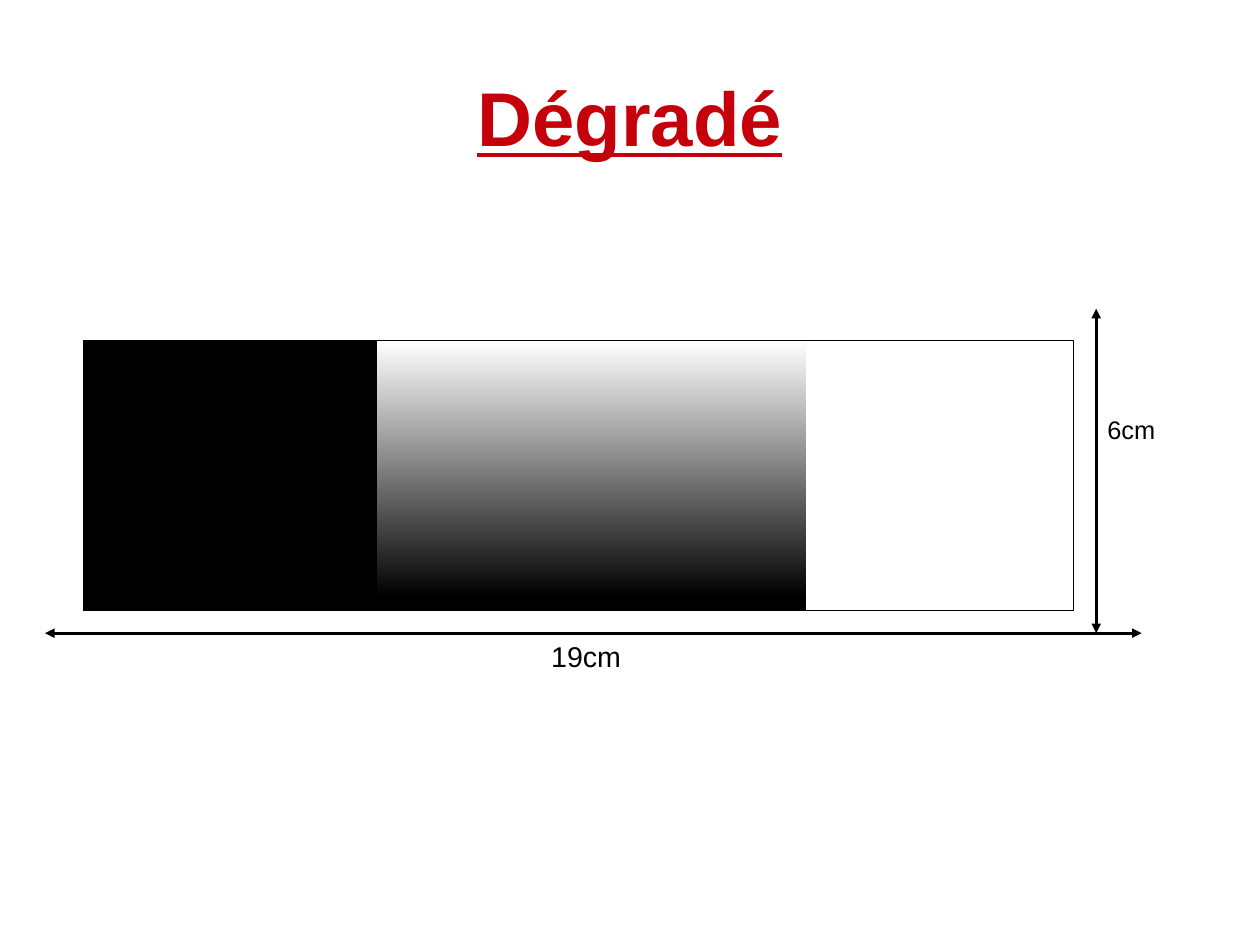
import dataclasses
import typing

import pptx
import pptx.dml.color
import pptx.enum.shapes
import pptx.enum.text
import pptx.oxml
import pptx.oxml.ns
import pptx.shapes.autoshape
import pptx.slide
import pptx.util

Cm = pptx.util.Cm
Pt = pptx.util.Pt
RGBColor = pptx.dml.color.RGBColor
ALIGN = pptx.enum.text.PP_ALIGN
ANCHOR = pptx.enum.text.MSO_ANCHOR

BLACK = RGBColor(0x00, 0x00, 0x00)
WHITE = RGBColor(0xFF, 0xFF, 0xFF)
RED = RGBColor(0xC5, 0x00, 0x0B)
FONT = "Arial"
BAND_TOP, BAND_HEIGHT = 7.57, 6.0
WIDTH_ARROW_Y = 14.07
HEIGHT_ARROW_X = 24.36


@dataclasses.dataclass(frozen=True)
class Label:
    """A line of text in a box, with lengths in centimetres."""
    text: str
    left: float
    top: float
    width: float
    height: float
    size: int
    color: RGBColor = BLACK
    heading: bool = False


@dataclasses.dataclass(frozen=True)
class Band:
    """A rectangle of the gradient sample."""
    left: float
    width: float
    fill: typing.Optional[RGBColor]


@dataclasses.dataclass(frozen=True)
class Dimension:
    """A double-headed dimension arrow."""
    x1: float
    y1: float
    x2: float
    y2: float


TITLE = Label("Dégradé", 1.4, 0.84, 25.2, 3.5, 48, RED, True)
DIMENSIONS = [
    Dimension(1.0, WIDTH_ARROW_Y, 25.37, WIDTH_ARROW_Y),
    Dimension(HEIGHT_ARROW_X, 6.86, HEIGHT_ARROW_X, WIDTH_ARROW_Y),
]
BANDS = [Band(1.85, 22.0, WHITE), Band(1.85, 9.2, BLACK), Band(8.38, 9.53, None)]
LABELS = [
    Label("6cm", HEIGHT_ARROW_X, 9.07, 1.83, 2.0, 16),
    Label("19cm", 12.0, WIDTH_ARROW_Y, 3.8, 0.97, 18),
]


def add_label(s: pptx.slide.Slide, label: Label) -> None:
    """Write a label, centred and underlined when it is the heading."""
    box = s.shapes.add_textbox(
        Cm(label.left), Cm(label.top), Cm(label.width), Cm(label.height))
    tf = box.text_frame
    tf.word_wrap = True
    tf.text = label.text
    p = tf.paragraphs[0]
    font = p.runs[0].font
    font.name = FONT
    font.size = Pt(label.size)
    font.color.rgb = label.color
    if label.heading:
        tf.margin_left = tf.margin_right = tf.margin_top = tf.margin_bottom = 0
        tf.vertical_anchor = ANCHOR.MIDDLE
        p.alignment = ALIGN.CENTER
        font.bold = font.underline = True


def fill_gradient(sp: pptx.shapes.autoshape.Shape) -> None:
    """Fill a shape from black at the bottom to white at the top."""
    sp.fill.gradient()
    sp.fill.gradient_angle = 90
    for stop, position, color in zip(
            sp.fill.gradient_stops, (0.05, 1.0), (BLACK, WHITE)):
        stop.position = position
        stop.color.rgb = color


def add_band(s: pptx.slide.Slide, band: Band) -> None:
    """Draw an outlined plain band, or the gradient band without outline."""
    sp = s.shapes.add_shape(
        pptx.enum.shapes.MSO_SHAPE.RECTANGLE,
        Cm(band.left), Cm(BAND_TOP), Cm(band.width), Cm(BAND_HEIGHT))
    sp.shadow.inherit = False
    if band.fill is None:
        fill_gradient(sp)
        sp.line.fill.background()
    else:
        sp.fill.solid()
        sp.fill.fore_color.rgb = band.fill
        sp.line.color.rgb = BLACK
        sp.line.width = Pt(0)


def add_dimension(s: pptx.slide.Slide, dim: Dimension) -> None:
    """Draw a hairline with an arrowhead at each end."""
    line = s.shapes.add_connector(
        pptx.enum.shapes.MSO_CONNECTOR.STRAIGHT,
        Cm(dim.x1), Cm(dim.y1), Cm(dim.x2), Cm(dim.y2))
    line.line.color.rgb = BLACK
    line.line.width = Pt(0)
    ns = pptx.oxml.ns.nsdecls("a")
    ln = line.line._get_or_add_ln()
    for end in ("headEnd", "tailEnd"):
        ln.append(pptx.oxml.parse_xml(f'<a:{end} {ns} type="triangle"/>'))
    line._element.spPr.append(pptx.oxml.parse_xml(f"<a:effectLst {ns}/>"))


def main() -> None:
    """Build the gradient slide and save it."""
    prs = pptx.Presentation()
    prs.slide_width, prs.slide_height = Cm(28), Cm(21)
    s = prs.slides.add_slide(prs.slide_layouts[6])
    add_label(s, TITLE)
    for dim in DIMENSIONS:
        add_dimension(s, dim)
    for band in BANDS:
        add_band(s, band)
    for label in LABELS:
        add_label(s, label)
    prs.save("out.pptx")


main()
